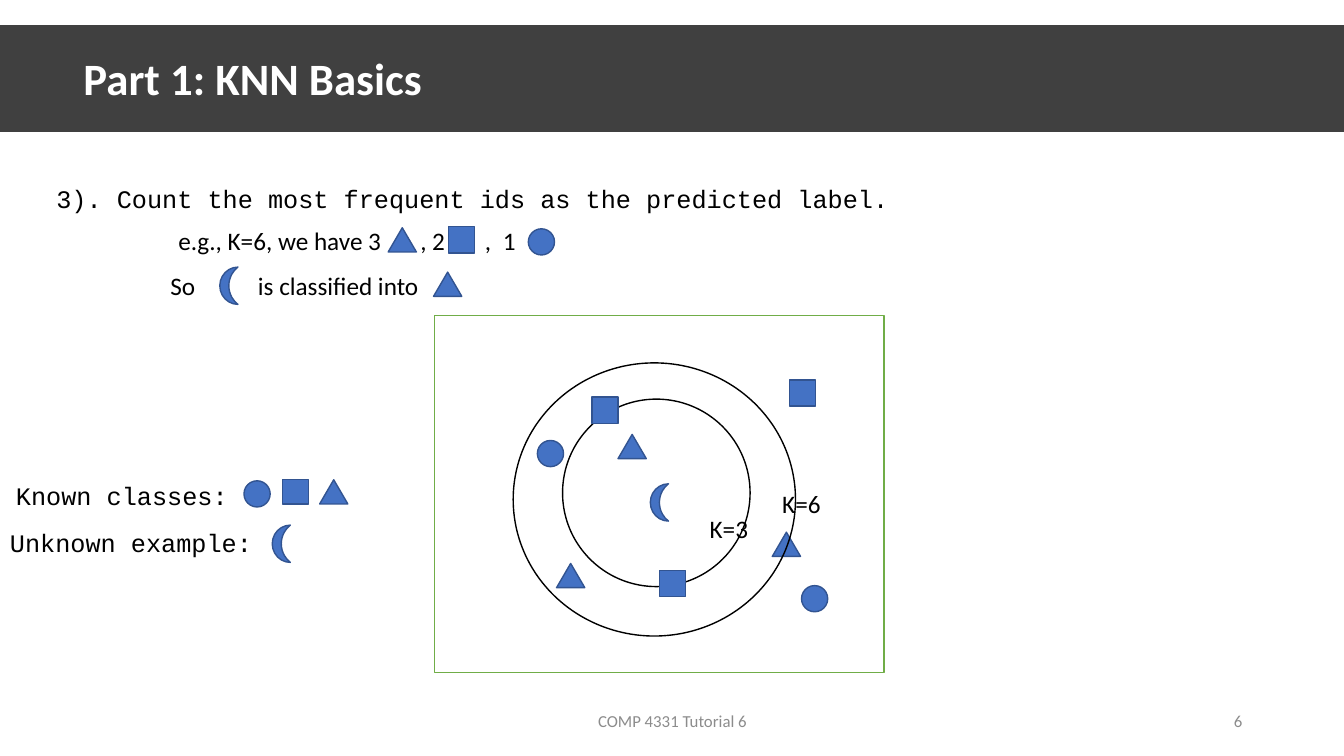
"""Build the KNN basics slide about counting the nearest neighbours."""
import pptx
import pptx.dml.color
import pptx.enum.shapes
import pptx.enum.text
import pptx.oxml
import pptx.oxml.ns
import pptx.util

Inches = pptx.util.Inches
Pt = pptx.util.Pt
RGBColor = pptx.dml.color.RGBColor
MSO_SHAPE = pptx.enum.shapes.MSO_SHAPE
PP_ALIGN = pptx.enum.text.PP_ALIGN
MSO_ANCHOR = pptx.enum.text.MSO_ANCHOR
MSO_AUTO_SIZE = pptx.enum.text.MSO_AUTO_SIZE

BANNER = RGBColor(0x40, 0x40, 0x40)
WHITE = RGBColor(0xFF, 0xFF, 0xFF)
BLACK = RGBColor(0x00, 0x00, 0x00)
GRAY = RGBColor(0x8C, 0x8C, 0x8C)
BLUE = RGBColor(0x44, 0x72, 0xC4)
DARK_BLUE = RGBColor(0x32, 0x54, 0x91)
GREEN = RGBColor(0x70, 0xAD, 0x47)

BODY_FONT = "Calibri"
MONO_FONT = "Courier New"

EXAMPLES = {
    "circle": (MSO_SHAPE.OVAL, 0.26, 0.26),
    "square": (MSO_SHAPE.RECTANGLE, 0.26, 0.26),
    "triangle": (MSO_SHAPE.ISOSCELES_TRIANGLE, 0.28, 0.24),
    "moon": (MSO_SHAPE.MOON, 0.18, 0.37),
}


def add_figure(slide, kind, left, top, width, height, fill=None, line=None):
    """Draw a preset shape with an optional fill and a one-point outline."""
    figure = slide.shapes.add_shape(
        kind, Inches(left), Inches(top), Inches(width), Inches(height))
    figure.shadow.inherit = False
    if fill is None:
        figure.fill.background()
    else:
        figure.fill.solid()
        figure.fill.fore_color.rgb = fill
    if line is None:
        figure.line.fill.background()
    else:
        figure.line.color.rgb = line
        figure.line.width = Pt(1)


def add_example(slide, name, left, top, height=None):
    """Draw one data example: a circle, square, triangle or moon."""
    kind, width, usual_height = EXAMPLES[name]
    add_figure(slide, kind, left, top, width, height or usual_height, BLUE, DARK_BLUE)


def add_text(slide, box, words, size=18, font=BODY_FONT, color=BLACK, bold=False,
             align=PP_ALIGN.LEFT, anchor=MSO_ANCHOR.TOP, wrap=True, grow=False,
             spacing=None, tabs=()):
    """Write one line of text in a box, with optional tab stops in inches."""
    label = slide.shapes.add_textbox(*(Inches(length) for length in box))
    frame = label.text_frame
    frame.word_wrap = wrap
    frame.auto_size = MSO_AUTO_SIZE.SHAPE_TO_FIT_TEXT if grow else MSO_AUTO_SIZE.NONE
    frame.vertical_anchor = anchor
    paragraph = frame.paragraphs[0]
    paragraph.alignment = align
    if spacing:
        paragraph.line_spacing = spacing
    if tabs:
        properties = paragraph._p.get_or_add_pPr()
        stops = pptx.oxml.parse_xml(
            "<a:tabLst %s/>" % pptx.oxml.ns.nsdecls("a"))
        for position in tabs:
            stops.append(pptx.oxml.parse_xml(
                '<a:tab %s pos="%d" algn="l"/>'
                % (pptx.oxml.ns.nsdecls("a"), Inches(position))))
        properties.append(stops)
    run = paragraph.add_run()
    run.text = words
    run.font.size = Pt(size)
    run.font.name = font
    run.font.bold = bold
    run.font.color.rgb = color


def add_banner(slide, left, top, width, height):
    """Draw the dark title band and its title."""
    add_figure(slide, MSO_SHAPE.RECTANGLE, left, top, width, height, BANNER)
    add_text(slide, (left + 0.74, top + 0.17, 11.87, 0.76), "Part 1: KNN Basics",
             size=32, color=WHITE, bold=True, anchor=MSO_ANCHOR.MIDDLE, spacing=0.9)


def add_explanation(slide, left, top):
    """Write the counting step with its worked example."""
    add_text(slide, (left, top, 8.49, 0.4),
             "3). Count the most frequent ids as the predicted label.",
             font=MONO_FONT, wrap=False, grow=True)
    add_text(slide, (left + 1.21, top + 0.42, 7.99, 0.4),
             "e.g., K=6, we have 3\t, 2\t,\t1", grow=True, tabs=(2.4, 3.04, 3.22))
    add_text(slide, (left + 1.13, top + 0.86, 7.99, 0.4),
             "So\tis classified into", grow=True, tabs=(0.87,))
    for name, dx, dy in (("triangle", 3.39, 0.49), ("square", 3.99, 0.48),
                         ("circle", 4.78, 0.5), ("moon", 1.72, 0.88),
                         ("triangle", 3.84, 0.93)):
        add_example(slide, name, left + dx, top + dy)


def add_legend(slide, left, top):
    """Show the known classes and the unknown example."""
    add_text(slide, (left + 0.06, top, 2.31, 0.4), "Known classes:",
             font=MONO_FONT, wrap=False, grow=True)
    add_text(slide, (left, top + 0.46, 2.61, 0.4), "Unknown example:",
             font=MONO_FONT, wrap=False, grow=True)
    add_example(slide, "circle", left + 2.42, top + 0.05)
    add_example(slide, "square", left + 2.8, top + 0.04, height=0.24)
    add_example(slide, "triangle", left + 3.17, top + 0.04)
    add_example(slide, "moon", left + 2.7, top + 0.49)


def add_neighbourhood(slide, left, top, width, height):
    """Draw the framed scatter of examples with the K=3 and K=6 rings."""
    for name, dx, dy in (("circle", 1.02, 1.24), ("circle", 3.64, 2.68),
                         ("square", 3.52, 0.64), ("triangle", 1.82, 1.18),
                         ("triangle", 3.35, 2.15)):
        add_example(slide, name, left + dx, top + dy)
    for dx, dy, ring_width, ring_height in ((1.27, 0.83, 1.86, 1.86),
                                            (0.78, 0.47, 2.8, 2.71)):
        add_figure(slide, MSO_SHAPE.OVAL, left + dx, top + dy,
                   ring_width, ring_height, line=BLACK)
    for name, dx, dy in (("square", 1.56, 0.81), ("square", 2.23, 2.53),
                         ("triangle", 1.21, 2.46), ("moon", 2.14, 1.67)):
        add_example(slide, name, left + dx, top + dy)
    add_figure(slide, MSO_SHAPE.RECTANGLE, left, top, width, height, line=GREEN)
    for words, dx, dy in (("K=3", 2.63, 1.91), ("K=6", 3.35, 1.67)):
        add_text(slide, (left + dx, top + dy, 0.59, 0.4), words, wrap=False, grow=True)


def add_footer(slide, left, top, height):
    """Write the course name and the slide number."""
    for words, dx, width, align in (
            ("COMP 4331 Tutorial 6", 0, 4.5, PP_ALIGN.CENTER),
            ("6", 5, 3, PP_ALIGN.RIGHT)):
        add_text(slide, (left + dx, top, width, height), words, size=12, color=GRAY,
                 align=align, anchor=MSO_ANCHOR.MIDDLE)


def main():
    """Build and save the slide."""
    deck = pptx.Presentation()
    deck.slide_width = Inches(13.33)
    deck.slide_height = Inches(7.5)
    slide = deck.slides.add_slide(deck.slide_layouts[6])
    add_banner(slide, -0.01, 0.25, 13.34, 1.06)
    add_legend(slide, 0, 4.72)
    add_neighbourhood(slide, 4.31, 3.13, 4.46, 3.54)
    add_explanation(slide, 0.46, 1.77)
    add_footer(slide, 4.42, 6.95, 0.4)
    deck.save("out.pptx")


if __name__ == "__main__":
    main()
